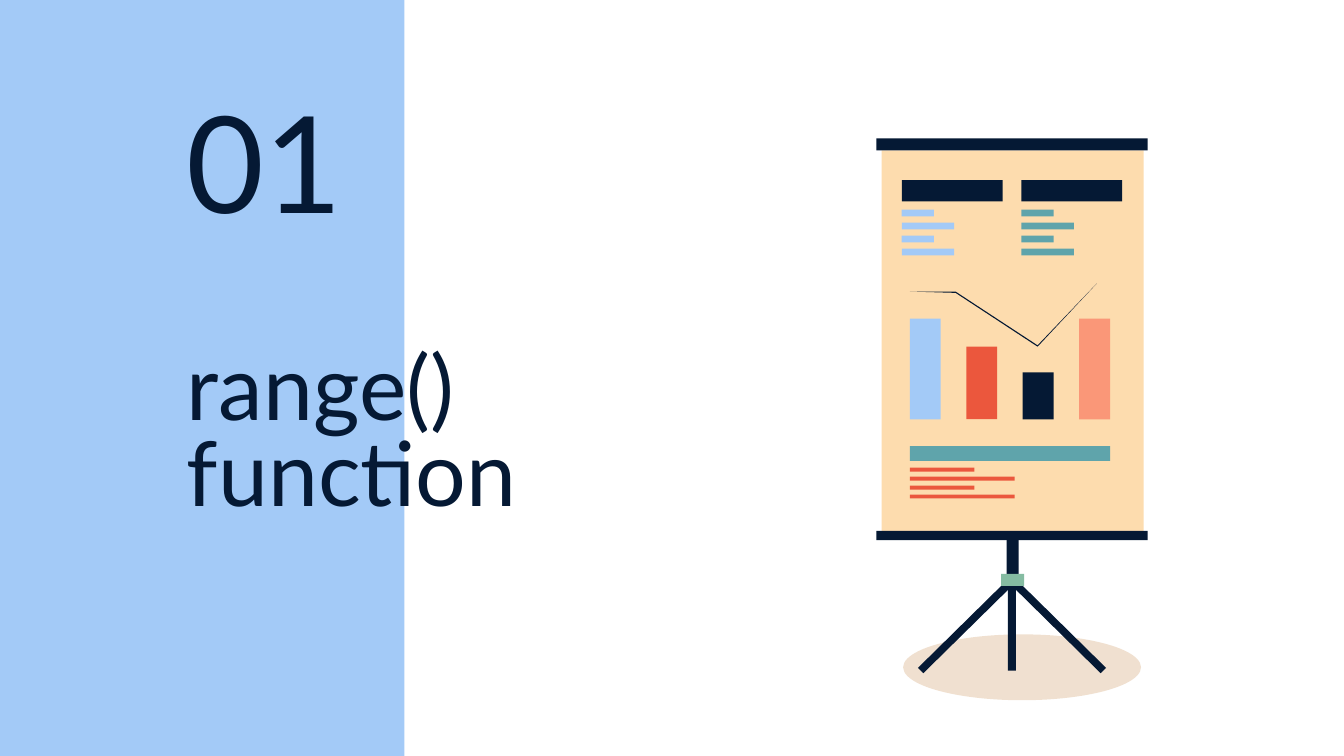
from dataclasses import dataclass

from lxml import etree
from pptx import Presentation
from pptx import util as u
from pptx.dml.color import RGBColor
from pptx.enum import shapes, text
from pptx.oxml.ns import qn


@dataclass(frozen=True)
class Theme:
    """Hold the colours, font and type sizes of the slide."""

    navy: str = "051934"
    blue: str = "A3CAF7"
    teal: str = "5FA4AB"
    red: str = "EB573D"
    coral: str = "FA9778"
    sand: str = "FDDCAE"
    green: str = "85BCA2"
    brown: str = "B45F06"
    font: str = "Lato"
    number_size: int = 72
    title_size: int = 48


THEME = Theme()


def paint(shape, colour):
    """Give a shape a flat fill without outline or shadow."""
    shape.shadow.inherit = False
    shape.fill.solid()
    shape.fill.fore_color.rgb = RGBColor.from_string(colour)
    shape.line.fill.background()


def place(shape, left, top, width, height):
    """Set the position and size of a shape in inches."""
    shape.left, shape.top = u.Inches(left), u.Inches(top)
    shape.width, shape.height = u.Inches(width), u.Inches(height)


def add_block(container, left, top, width, height, colour,
              kind=shapes.MSO_SHAPE.RECTANGLE):
    """Add a filled preset shape."""
    box = [u.Inches(value) for value in (left, top, width, height)]
    shape = container.add_shape(kind, *box)
    paint(shape, colour)
    return shape


def add_polygon(container, points, colour):
    """Add a closed, filled outline through the given points."""
    corners = [(u.Inches(x), u.Inches(y)) for x, y in points]
    builder = container.build_freeform(*corners[0])
    builder.add_line_segments(corners[1:], close=True)
    paint(builder.convert_to_shape(), colour)


def add_text_lines(container, left, first_top, last_top, widths, height, colour):
    """Add evenly spaced bars that stand for lines of text."""
    step = (last_top - first_top) / (len(widths) - 1)
    for index, width in enumerate(widths):
        add_block(container, left, first_top + index * step, width, height, colour)


def set_text(shape, content, size, anchor, line_spacing=1.0):
    """Write and format the single paragraph of a shape."""
    frame = shape.text_frame
    frame.text = content
    frame.word_wrap = True
    frame.auto_size = text.MSO_AUTO_SIZE.NONE
    frame.vertical_anchor = anchor
    frame.margin_left = frame.margin_right = u.Inches(0.1)
    frame.margin_top = frame.margin_bottom = u.Inches(0.1)
    paragraph = frame.paragraphs[0]
    paragraph.alignment = text.PP_ALIGN.LEFT
    paragraph.line_spacing = line_spacing
    font = paragraph.runs[0].font
    font.name, font.size = THEME.font, u.Pt(size)
    font.color.rgb = RGBColor.from_string(THEME.navy)


def add_backdrop(slide):
    """Add the side band and the translucent floor shadow behind the title."""
    add_block(slide.shapes, -0.02, -0.02, 3.03, 5.65, THEME.blue)
    floor = add_block(slide.shapes, 6.72, 4.72, 1.77, 0.49, THEME.brown,
                      shapes.MSO_SHAPE.OVAL)
    colour = floor.element.spPr.find(qn("a:solidFill"))[0]
    etree.SubElement(colour, qn("a:alpha")).set("val", "19000")
    title = slide.shapes.title.element
    title.getparent().append(title)


def add_headings(slide):
    """Place the section title and its number."""
    title = slide.shapes.title
    place(title, 1.29, 2.8, 4.24, 0.92)
    set_text(title, "range() function", THEME.title_size,
             text.MSO_ANCHOR.MIDDLE, 0.8)
    number = slide.shapes.add_textbox(0, 0, 0, 0)
    place(number, 1.29, 1.03, 2.75, 0.86)
    set_text(number, "01", THEME.number_size, text.MSO_ANCHOR.BOTTOM)


def add_stand(board):
    """Draw the tripod that carries the board."""
    centre = 7.53
    leg = [(-0.02, 4.34), (0.02, 4.3), (0.7, 4.97), (0.66, 5.01)]
    for side in (-1, 1):
        add_polygon(board, [(centre + side * x, y) for x, y in leg], THEME.navy)
    add_block(board, 7.5, 4.22, 0.06, 0.77, THEME.navy)
    add_block(board, 7.49, 3.95, 0.09, 0.41, THEME.navy)
    add_block(board, 7.45, 4.27, 0.17, 0.09, THEME.green)


def add_sheet(board):
    """Draw the sheet between its two rails."""
    add_block(board, 6.56, 1.12, 1.95, 2.83, THEME.sand)
    add_block(board, 6.52, 3.95, 2.02, 0.07, THEME.navy)
    add_block(board, 6.52, 1.03, 2.02, 0.09, THEME.navy)


def add_sheet_content(board):
    """Draw the text blocks, columns and trend on the sheet."""
    for left, colour in ((6.71, THEME.blue), (7.6, THEME.teal)):
        add_block(board, left, 1.34, 0.75, 0.16, THEME.navy)
        add_text_lines(board, left, 1.56, 1.85, (0.24, 0.39) * 2, 0.05, colour)
    add_block(board, 6.77, 3.32, 1.49, 0.11, THEME.teal)
    add_text_lines(board, 6.77, 3.48, 3.68, (0.48, 0.78) * 2, 0.03, THEME.red)
    columns = ((0.75, THEME.blue), (0.54, THEME.red),
               (0.35, THEME.navy), (0.75, THEME.coral))
    for index, (height, colour) in enumerate(columns):
        add_block(board, 6.77 + 0.42 * index, 3.12 - height, 0.23, height, colour)
    trend = [(8.16, 2.11), (7.72, 2.57), (7.11, 2.17),
             (6.77, 2.17), (7.11, 2.18), (7.72, 2.58)]
    add_polygon(board, trend, THEME.navy)


def main():
    """Build and save the section slide."""
    presentation = Presentation()
    presentation.slide_width = u.Inches(10)
    presentation.slide_height = u.Inches(10) * 9 // 16
    slide = presentation.slides.add_slide(presentation.slide_layouts[5])
    add_backdrop(slide)
    add_headings(slide)
    board = slide.shapes.add_group_shape().shapes
    add_stand(board)
    add_sheet(board)
    add_sheet_content(board)
    presentation.save("out.pptx")


if __name__ == "__main__":
    main()
